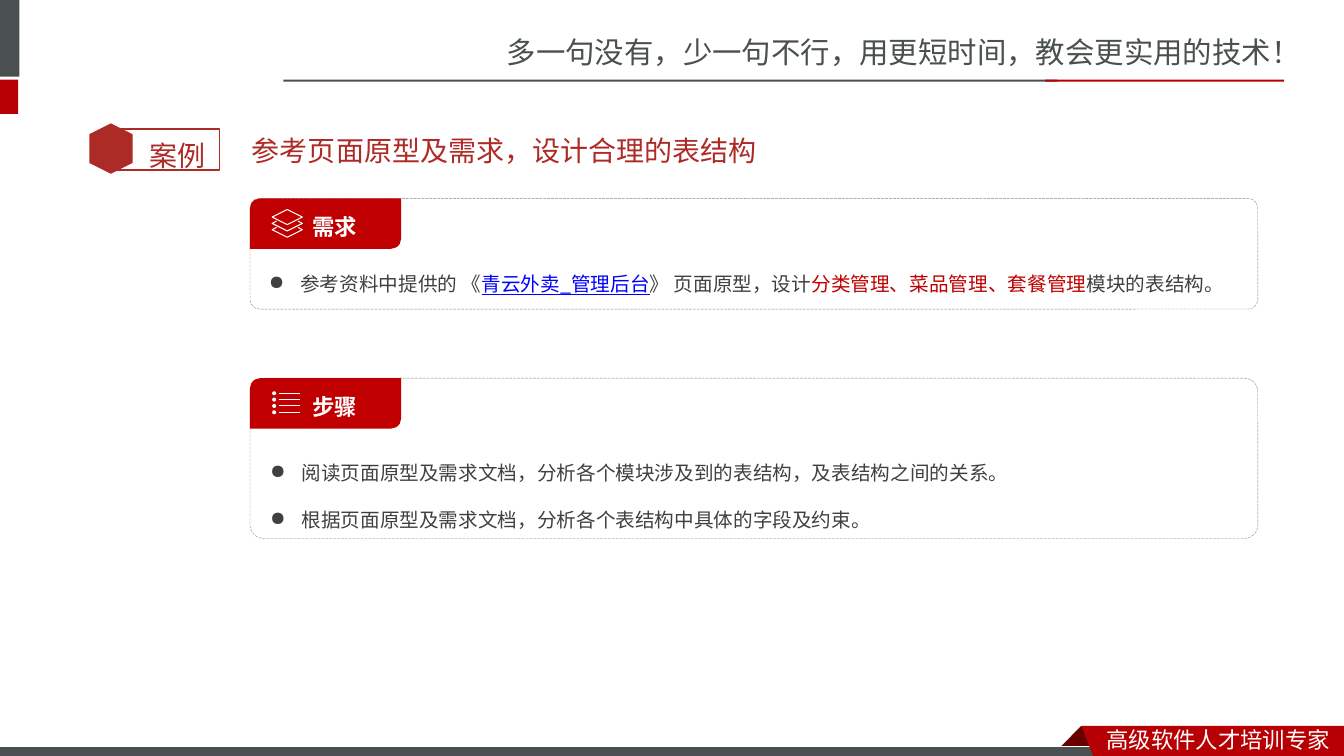
"""Build the case-study slide on designing table structures."""
import pptx
import pptx.dml.color
import pptx.enum.dml
import pptx.enum.shapes
import pptx.enum.text
import pptx.oxml
import pptx.oxml.ns
import pptx.util
from pptx.util import Cm

COLORS = {
    "gray": "49504F", "red": "B60004", "dark_red": "680000", "brick": "AD2B26",
    "heading": "AD2A26", "tab": "C00000", "text": "404040", "link": "0000FF",
    "border": "808080", "white": "FFFFFF",
}
SANS = "Noto Sans CJK SC"
BODY = "Noto Sans CJK JP"
SHAPES = pptx.enum.shapes.MSO_SHAPE
ANCHORS = pptx.enum.text.MSO_ANCHOR
PANEL_LEFT, PANEL_WIDTH = 6.3, 25.4


def rgb(name):
    """Return a named colour."""
    return pptx.dml.color.RGBColor.from_string(COLORS[name])


def style(shape, fill=None, line=None, weight=0.75):
    """Set fill and outline and drop the shadow."""
    shape.shadow.inherit = False
    if fill:
        shape.fill.solid()
        shape.fill.fore_color.rgb = rgb(fill)
    else:
        shape.fill.background()
    if line:
        shape.line.color.rgb = rgb(line)
        shape.line.width = pptx.util.Pt(weight)
    else:
        shape.line.fill.background()
    return shape


def add_preset(page, kind, left, top, width, height, **look):
    """Add a styled preset shape, measured in centimetres."""
    shape = page.shapes.add_shape(kind, Cm(left), Cm(top), Cm(width), Cm(height))
    return style(shape, **look)


def add_outline(page, points, closed=True, **look):
    """Add a freeform through points given in centimetres."""
    first, *rest = [(Cm(x), Cm(y)) for x, y in points]
    builder = page.shapes.build_freeform(*first)
    builder.add_line_segments(rest, close=closed)
    return style(builder.convert_to_shape(), **look)


def set_frame(frame, anchor, left=0.25, top=0.13, right=0.25, bottom=0.13):
    """Set wrapping, anchor and insets of a text frame."""
    frame.word_wrap = True
    frame.vertical_anchor = anchor
    frame.margin_left, frame.margin_top = Cm(left), Cm(top)
    frame.margin_right, frame.margin_bottom = Cm(right), Cm(bottom)


def add_span(para, text, size, font, color, bold=False, underline=False):
    """Append one run with its font."""
    span = para.add_run()
    span.text = text
    span.font.size = pptx.util.Pt(size)
    span.font.name = font
    span.font.bold = bold
    span.font.underline = underline
    span.font.color.rgb = rgb(color)
    east_asian = pptx.oxml.parse_xml(
        f'<a:ea {pptx.oxml.ns.nsdecls("a")} typeface="{font}"/>')
    span.font._element.find(pptx.oxml.ns.qn("a:latin")).addnext(east_asian)


def add_label(page, left, top, width, height, text, size, font, color,
              anchor=ANCHORS.MIDDLE, spacing=None):
    """Add a one-line text box."""
    box = page.shapes.add_textbox(Cm(left), Cm(top), Cm(width), Cm(height))
    set_frame(box.text_frame, anchor, right=0.1)
    para = box.text_frame.paragraphs[0]
    para.line_spacing = spacing
    add_span(para, text, size, font, color)


def set_bullet(para):
    """Give a paragraph a hanging round bullet."""
    properties = para._p.get_or_add_pPr()
    properties.set("marL", str(Cm(0.79)))
    properties.set("indent", str(-Cm(0.79)))
    properties.append(pptx.oxml.parse_xml(
        f'<a:buChar {pptx.oxml.ns.nsdecls("a")} char="●"/>'))


def add_panel(page, top, height, text_top, title, items):
    """Add a dashed panel with a red title tab and bulleted items."""
    panel = add_preset(page, SHAPES.ROUNDED_RECTANGLE, PANEL_LEFT, top,
                       PANEL_WIDTH, height, line="border", weight=0.25)
    panel.adjustments[0] = 0.085
    panel.line.dash_style = pptx.enum.dml.MSO_LINE.LONG_DASH
    frame = panel.text_frame
    set_frame(frame, ANCHORS.TOP, 0.41, text_top, 0.2, 0)
    for index, spans in enumerate(items):
        para = frame.add_paragraph() if index else frame.paragraphs[0]
        para.alignment = pptx.enum.text.PP_ALIGN.LEFT
        para.line_spacing = pptx.util.Pt(33.6)
        set_bullet(para)
        for text, color in spans:
            add_span(para, text, 14, BODY, color, underline=color == "link")

    tab = add_preset(page, SHAPES.ROUND_2_DIAG_RECTANGLE, PANEL_LEFT, top,
                     3.81, 1.27, fill="tab")
    tab.adjustments[0], tab.adjustments[1] = 0.2, 0
    set_frame(tab.text_frame, ANCHORS.MIDDLE, 1.5, 0, 0.1, 0.2)
    para = tab.text_frame.paragraphs[0]
    para.alignment = pptx.enum.text.PP_ALIGN.LEFT
    para.line_spacing = pptx.util.Pt(28.8)
    add_span(para, title, 16, BODY, "white", bold=True)


def add_layers_icon(page, center, top):
    """Draw a stack of three sheets."""
    half, rise = 0.38, 0.19
    middle = top + rise
    add_outline(page, [(center - half, middle), (center, top),
                       (center + half, middle), (center, middle + rise)],
                line="white")
    for level in (1, 2):
        side = middle + 0.16 * level
        add_outline(page, [(center - 0.27, side - 0.06), (center - half, side),
                           (center, side + rise), (center + half, side),
                           (center + 0.27, side - 0.06)],
                    closed=False, line="white")


def add_list_icon(page, left, top):
    """Draw four dotted list rows."""
    for row in range(4):
        y = top + 0.16 * row
        add_preset(page, SHAPES.OVAL, left, y, 0.1, 0.1, fill="white")
        line = page.shapes.add_connector(
            pptx.enum.shapes.MSO_CONNECTOR.STRAIGHT,
            Cm(left + 0.16), Cm(y + 0.05), Cm(left + 0.7), Cm(y + 0.05))
        line.line.color.rgb = rgb("white")
        line.line.width = pptx.util.Pt(0.75)
        line._element.spPr.append(pptx.oxml.parse_xml(
            f'<a:effectLst {pptx.oxml.ns.nsdecls("a")}/>'))


def add_page_frame(page):
    """Add the header and footer decoration."""
    add_label(page, 12.52, 0.71, 21.36, 1.19,
              "多一句没有，少一句不行，用更短时间，教会更实用的技术！", 21, SANS, "gray")
    for left, top, width, height, color in (
            (-0.15, 0, 0.64, 1.93, "gray"), (-0.15, 2.01, 0.61, 0.86, "red"),
            (7.14, 2.01, 19.51, 0.05, "gray"), (26.34, 2.01, 6.02, 0.05, "red")):
        add_preset(page, SHAPES.RECTANGLE, left, top, width, height, fill=color)
    add_outline(page, [(27.25, 18.29), (27.81, 18.85), (27.79, 18.87),
                       (26.72, 18.87), (26.7, 18.85)], fill="dark_red")
    add_preset(page, SHAPES.RECTANGLE, -0.03, 18.82, 27.94, 0.3,
               fill="gray", line="white")
    add_outline(page, [(27.25, 18.29), (33.87, 18.29), (33.87, 19.15),
                       (27.58, 19.13)], fill="red")
    add_label(page, 27.64, 18.16, 6.22, 0.94, "高级软件人才培训专家", 16, SANS, "white")


def add_case_heading(page):
    """Add the case badge and the slide heading."""
    add_preset(page, SHAPES.RECTANGLE, 2.77, 3.25, 2.77, 1.04, line="brick", weight=1)
    hexagon = add_preset(page, SHAPES.HEXAGON, 2.16, 3.2, 1.27, 1.09, fill="brick")
    hexagon.rotation = 90
    add_label(page, 3.51, 2.95, 2.16, 1.42, "案例", 20, "Calibri", "brick",
              ANCHORS.TOP, 1.5)
    add_label(page, 6.1, 3.07, 25.6, 1.45, "参考页面原型及需求，设计合理的表结构",
              20, "Lato", "heading")


def main():
    """Build and save the deck."""
    deck = pptx.Presentation()
    deck.slide_width, deck.slide_height = Cm(33.87), Cm(19.05)
    page = deck.slides.add_slide(deck.slide_layouts[6])
    add_page_frame(page)
    add_case_heading(page)
    add_panel(page, 5, 2.79, 1.2, "需求", [[
        ("参考资料中提供的 《", "text"), ("青云外卖_管理后台", "link"),
        ("》 页面原型，设计", "text"), ("分类管理、菜品管理、套餐管理", "tab"),
        ("模块的表结构。", "text")]])
    add_layers_icon(page, 7.24, 5.28)
    add_panel(page, 9.53, 4.04, 1.4, "步骤", [
        [("阅读页面原型及需求文档，分析各个模块涉及到的表结构，及表结构之间的关系。", "text")],
        [("根据页面原型及需求文档，分析各个表结构中具体的字段及约束。", "text")]])
    add_list_icon(page, 6.86, 9.86)
    deck.save("out.pptx")


if __name__ == "__main__":
    main()
